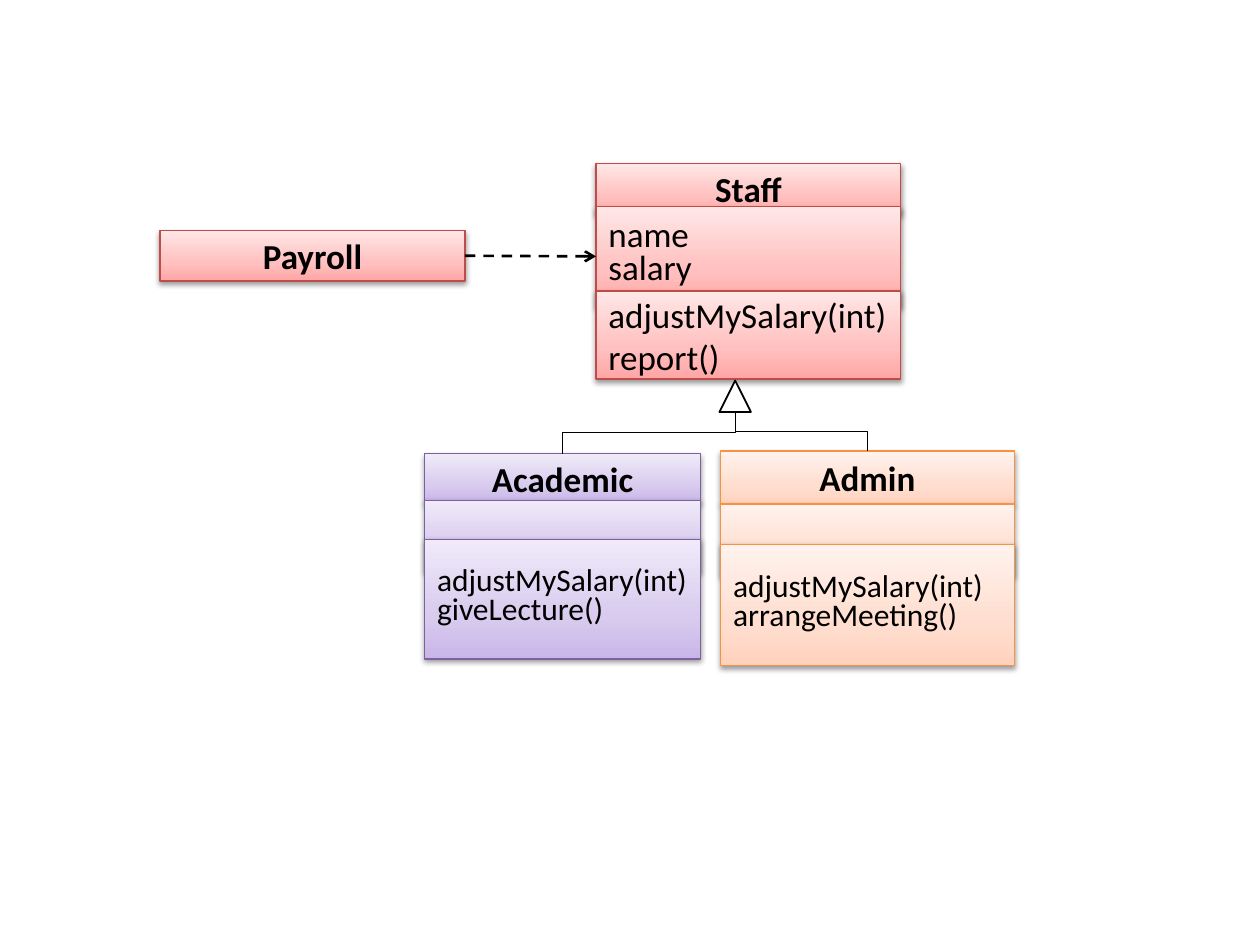
import pptx
import pptx.util
import pptx.dml.color
import pptx.enum.dml
import pptx.enum.shapes
import pptx.enum.text
import pptx.oxml
import pptx.oxml.ns

Inches = pptx.util.Inches
Pt = pptx.util.Pt
RGBColor = pptx.dml.color.RGBColor
Shape = pptx.enum.shapes.MSO_SHAPE
Link = pptx.enum.shapes.MSO_CONNECTOR
Align = pptx.enum.text.PP_ALIGN
qn = pptx.oxml.ns.qn

FONT = "Calibri"
BLACK = RGBColor(0x00, 0x00, 0x00)
WHITE = RGBColor(0xFF, 0xFF, 0xFF)
RED = (RGBColor(0xBF, 0x4C, 0x48), ("FFA6A5", "FFC0BF", "FFE7E7"))
PURPLE = (RGBColor(0x7D, 0x60, 0xA0), ("C9B5E8", "D8CBEE", "F0EAF9"))
ORANGE = (RGBColor(0xF6, 0x92, 0x40), ("FFD2BD", "FFDED0", "FFF2ED"))
STOPS = (0, 35000, 100000)
TIGHT = 0.6

CLASSES = [
    ("Academic", 3.37, 2.19, PURPLE, 3.6, 0.39, [
        (3.97, 0.57, 18, TIGHT, []),
        (4.28, 0.95, 18, TIGHT, ["adjustMySalary(int)", "giveLecture()"])]),
    ("Admin", 5.72, 2.33, ORANGE, 3.58, 0.42, [
        (4, 0.57, 18, TIGHT, []),
        (4.32, 0.96, 18, TIGHT, ["adjustMySalary(int)", "arrangeMeeting()"])]),
    ("Staff", 4.73, 2.42, RED, 1.3, 0.4, [
        (1.64, 0.79, 20, TIGHT, ["name", "salary"]),
        (2.31, 0.7, 20, None, ["adjustMySalary(int)", "report()"])]),
    ("Payroll", 1.27, 2.42, RED, 1.83, 0.4, []),
]
TIP = (5.71, 3.02, 0.25, 0.25)

NS = pptx.oxml.ns.nsdecls("a")
SHADOW = (f'<a:outerShdw {NS} blurRad="40000" dist="20000" dir="5400000" '
          'rotWithShape="0"><a:srgbClr val="000000"><a:alpha val="38000"/>'
          '</a:srgbClr></a:outerShdw>')


def place(kind, box, line, width):
    shape = slide.shapes.add_shape(kind, *map(Inches, box))
    shape.shadow.inherit = False
    shape.line.color.rgb = line
    shape.line.width = Pt(width)
    return shape


def add_box(box, look):
    line, tints = look
    shape = place(Shape.RECTANGLE, box, line, 0.75)
    shape.fill.gradient()
    shape.fill.gradient_angle = 90
    props = shape.element.spPr
    stops = props.find(qn("a:gradFill")).find(qn("a:gsLst"))
    stops.clear()
    for pos, tint in zip(STOPS, tints):
        stops.append(pptx.oxml.parse_xml(
            f'<a:gs {NS} pos="{pos}"><a:srgbClr val="{tint}"/></a:gs>'))
    props.find(qn("a:effectLst")).append(pptx.oxml.parse_xml(SHADOW))
    return shape


def write(shape, lines, size, align, bold=False, pitch=None):
    frame = shape.text_frame
    frame.word_wrap = True
    frame.vertical_anchor = pptx.enum.text.MSO_ANCHOR.MIDDLE
    for i, text in enumerate(lines):
        para = frame.add_paragraph() if i else frame.paragraphs[0]
        para.alignment = align
        if pitch:
            para.line_spacing = pitch
            if i:
                para.space_before = Pt(size * 0.2)
        run = para.add_run()
        run.text = text
        font = run.font
        font.name, font.size, font.bold = FONT, Pt(size), bold
        font.color.rgb = BLACK


def add_link(kind, start, end, width):
    link = slide.shapes.add_connector(kind, *map(Inches, start + end))
    link.line.color.rgb = BLACK
    link.line.width = Pt(width)
    link.element.spPr.append(pptx.oxml.parse_xml(f"<a:effectLst {NS}/>"))
    return link


def add_elbow(x, y, goal_x, goal_y):
    mid_x, mid_y = (x + goal_x) / 2, (y + goal_y) / 2
    half_w, half_h = (y - goal_y) / 2, abs(goal_x - x) / 2
    side = 1 if x < goal_x else -1
    start = (mid_x + side * half_w, mid_y + half_h)
    end = (mid_x - side * half_w, mid_y - half_h)
    link = add_link(Link.ELBOW, start, end, 0.75)
    turn = 90 if side == 1 else 270
    link.element.spPr.find(qn("a:xfrm")).set("rot", str(turn * 60000))


deck = pptx.Presentation()
deck.slide_width, deck.slide_height = Inches(10), Inches(7.5)
slide = deck.slides.add_slide(deck.slide_layouts[6])

parts = {}
for name, left, width, look, top, height, rows in CLASSES:
    head = add_box((left, top, width, height), look)
    write(head, [name], 20, Align.CENTER, bold=True)
    parts[name] = [head]
    for row_top, row_height, size, pitch, lines in rows:
        cell = add_box((left, row_top, width, row_height), look)
        write(cell, lines, size, Align.LEFT, pitch=pitch)
        parts[name].append(cell)

tip = place(Shape.FLOWCHART_EXTRACT, TIP, BLACK, 1)
tip.fill.solid()
tip.fill.fore_color.rgb = WHITE
for name, left, width, look, top, height, rows in CLASSES[:2]:
    add_elbow(left + width / 2, top, TIP[0] + TIP[2] / 2, TIP[1] + TIP[3])

uses = add_link(Link.STRAIGHT, (3.69, 2.03), (4.73, 2.03), 1.5)
uses.begin_connect(parts["Payroll"][0], 3)
uses.end_connect(parts["Staff"][1], 1)
uses.line.dash_style = pptx.enum.dml.MSO_LINE.DASH
uses.line._get_or_add_ln().append(
    pptx.oxml.parse_xml(f'<a:tailEnd {NS} type="arrow"/>'))

deck.save("out.pptx")
